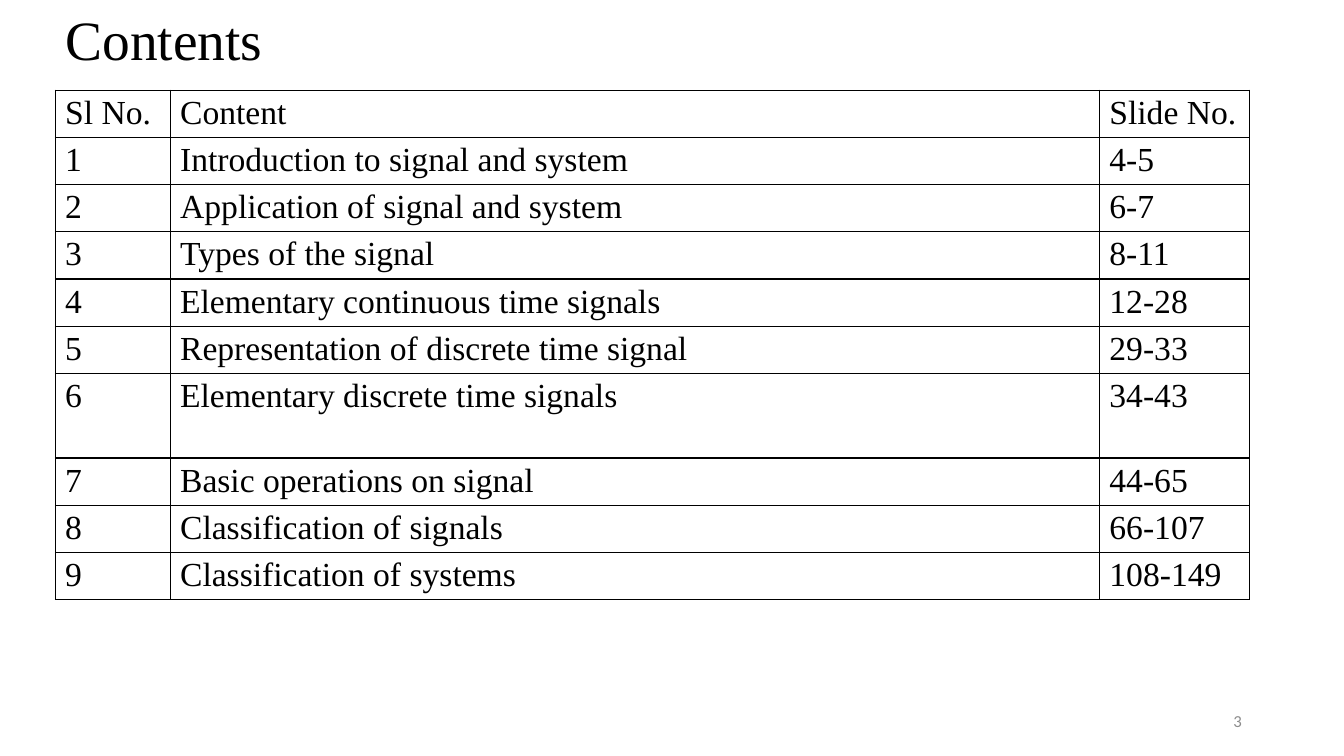
from lxml import etree
from pptx import Presentation
from pptx import util as u
from pptx.dml.color import RGBColor
from pptx.enum import text
from pptx.oxml import ns

BLACK = RGBColor(0x00, 0x00, 0x00)
GREY = RGBColor(0x8C, 0x8C, 0x8C)
SERIF = "Times New Roman"
SANS = "Calibri"

COLUMN_WIDTHS = [82.1, 663.8, 107.3]
ROW_HEIGHT = 33.75
TALL_ROW = 6
TALL_ROW_HEIGHT = 60.4
TOPICS = [
    ("Introduction to signal and system", "4-5"),
    ("Application of signal and system", "6-7"),
    ("Types of the signal", "8-11"),
    ("Elementary continuous time signals", "12-28"),
    ("Representation of discrete time signal", "29-33"),
    ("Elementary discrete time signals", "34-43"),
    ("Basic operations on signal", "44-65"),
    ("Classification of signals", "66-107"),
    ("Classification of systems", "108-149"),
]


def set_all(target, formats):
    for name, value in formats.items():
        setattr(target, name, value)


def write(paragraph, words, size, font, color):
    span = paragraph.add_run()
    span.text = words
    set_all(span.font, {"size": u.Pt(size), "name": font, "bold": False})
    span.font.color.rgb = color


def add_borders(cell):
    properties = cell._tc.get_or_add_tcPr()
    for index, side in enumerate(("lnL", "lnR", "lnT", "lnB")):
        line = etree.Element(ns.qn(f"a:{side}"), w=str(u.Pt(1)))
        fill = etree.SubElement(line, ns.qn("a:solidFill"))
        etree.SubElement(fill, ns.qn("a:srgbClr"), val=str(BLACK))
        properties.insert(index, line)


def add_title(page, left, top, width, height):
    title = page.shapes.title
    set_all(title, {"left": u.Pt(left), "top": u.Pt(top),
                    "width": u.Pt(width), "height": u.Pt(height)})
    set_all(title.text_frame, {"vertical_anchor": text.MSO_ANCHOR.MIDDLE,
                               "auto_size": text.MSO_AUTO_SIZE.NONE,
                               "word_wrap": True})
    paragraph = title.text_frame.paragraphs[0]
    set_all(paragraph, {"alignment": text.PP_ALIGN.LEFT, "line_spacing": 0.9})
    write(paragraph, "Contents", 39.6, SERIF, BLACK)


def add_contents(page, left, top):
    rows = [("Sl No.", "Content", "Slide No.")]
    rows += [(str(number), *topic) for number, topic in enumerate(TOPICS, 1)]
    heights = [TALL_ROW_HEIGHT if index == TALL_ROW else ROW_HEIGHT
               for index in range(len(rows))]
    frame = page.shapes.add_table(
        len(rows), len(COLUMN_WIDTHS), u.Pt(left), u.Pt(top),
        u.Pt(sum(COLUMN_WIDTHS)), u.Pt(sum(heights)))
    table = frame.table
    set_all(table, {"first_row": False, "horz_banding": False})
    for column, width in zip(table.columns, COLUMN_WIDTHS):
        column.width = u.Pt(width)
    for row, height, entries in zip(table.rows, heights, rows):
        row.height = u.Pt(height)
        for cell, words in zip(row.cells, entries):
            set_all(cell, {"margin_left": u.Pt(7), "margin_right": u.Pt(7),
                           "margin_top": u.Pt(3), "margin_bottom": u.Pt(3)})
            cell.fill.background()
            add_borders(cell)
            write(cell.text_frame.paragraphs[0], words, 24, SERIF, BLACK)


def add_page_number(page, left, top, width, height):
    box = page.shapes.add_textbox(
        u.Pt(left), u.Pt(top), u.Pt(width), u.Pt(height))
    set_all(box.text_frame, {"word_wrap": True,
                             "vertical_anchor": text.MSO_ANCHOR.MIDDLE})
    paragraph = box.text_frame.paragraphs[0]
    paragraph.alignment = text.PP_ALIGN.RIGHT
    write(paragraph, "3", 12, SANS, GREY)


def main():
    deck = Presentation()
    set_all(deck, {"slide_width": u.Pt(960), "slide_height": u.Pt(540)})
    page = deck.slides.add_slide(deck.slide_layouts.get_by_name("Title Only"))
    add_title(page, 39.6, 7.9, 828, 45.4)
    add_contents(page, 39.6, 64.4)
    add_page_number(page, 678.2, 500.4, 216, 28.8)
    deck.save("out.pptx")


if __name__ == "__main__":
    main()
